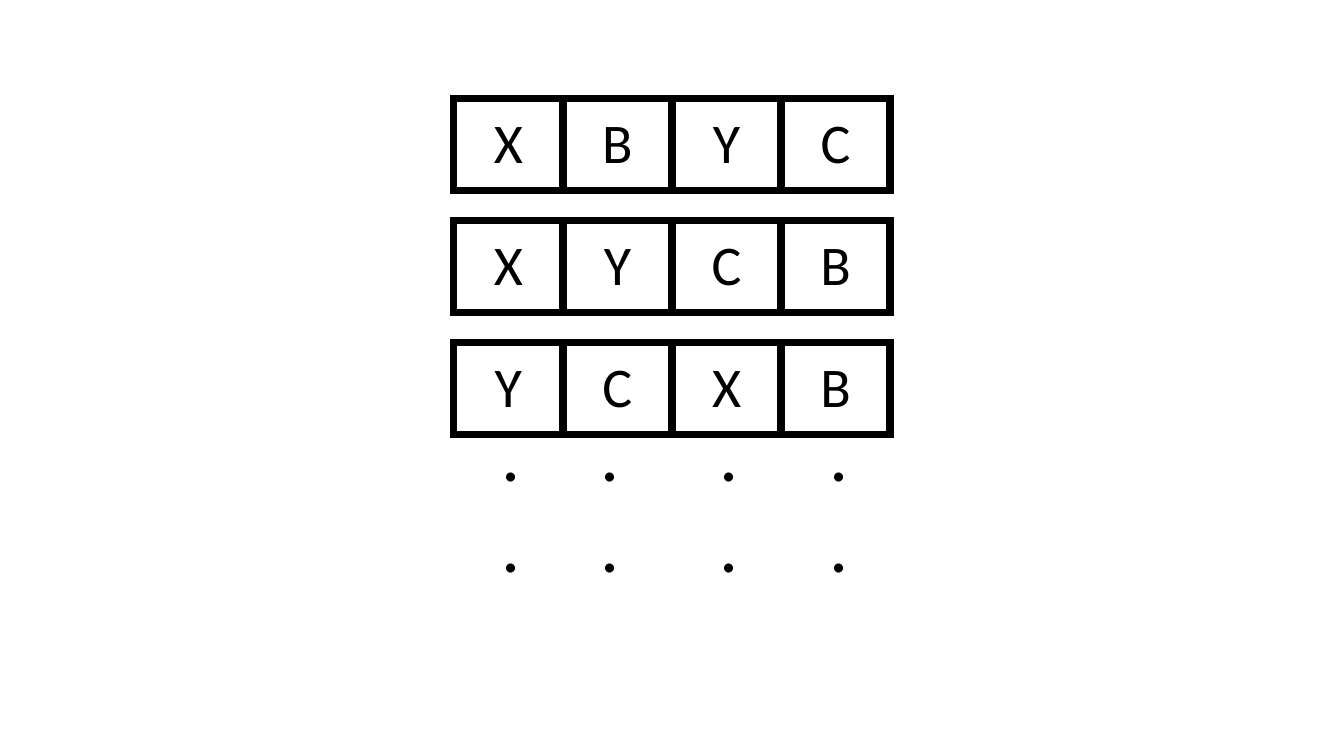
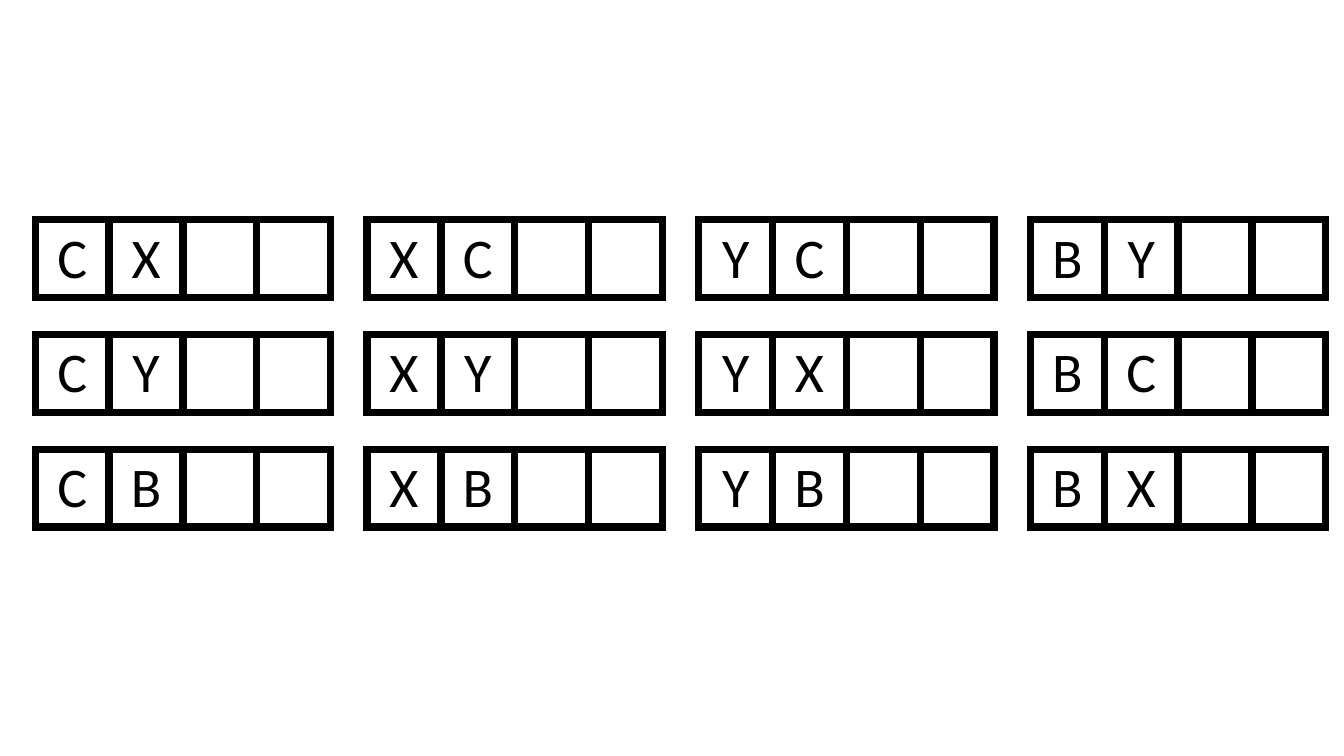
from dataclasses import dataclass

from lxml.etree import SubElement
from pptx import Presentation
from pptx.dml.color import RGBColor
from pptx.enum.text import MSO_ANCHOR as Anchor, PP_ALIGN as Align
from pptx.oxml import parse_xml
from pptx.oxml.ns import nsdecls, qn
from pptx.util import Inches, Pt


@dataclass(frozen=True)
class Theme:
    ink: str = "000000"
    font: str = "Calibri"
    letter_size: int = 40
    dots_size: int = 54
    border_width: int = 6


THEME = Theme()
SLOTS = 4


def style_paragraph(paragraph, size, alignment):
    paragraph.alignment = alignment
    for run in paragraph.runs:
        run.font.name = THEME.font
        run.font.size = Pt(size)
        run.font.color.rgb = RGBColor.from_string(THEME.ink)


def set_borders(cell):
    properties = cell._tc.get_or_add_tcPr()
    for index, side in enumerate("LRTB"):
        line = parse_xml(f'<a:ln{side} {nsdecls("a")} w="{Pt(THEME.border_width)}"/>')
        fill = SubElement(line, qn("a:solidFill"))
        SubElement(fill, qn("a:srgbClr"), val=THEME.ink)
        properties.insert(index, line)


def add_slots(slide, letters, left, top, width, height):
    table = slide.shapes.add_table(
        1, SLOTS, Inches(left), Inches(top), Inches(width), Inches(height)
    ).table
    table.first_row = False
    table.horz_banding = False
    for cell, letter in zip(table.iter_cells(), letters.ljust(SLOTS)):
        cell.fill.background()
        set_borders(cell)
        cell.vertical_anchor = Anchor.MIDDLE
        if letter.strip():
            cell.text_frame.text = letter
            style_paragraph(cell.text_frame.paragraphs[0], THEME.letter_size, Align.CENTER)


def add_dots(slide, left, top, width, height):
    box = slide.shapes.add_textbox(Inches(left), Inches(top), Inches(width), Inches(height))
    frame = box.text_frame
    frame.word_wrap = True
    frame.margin_left = frame.margin_right = frame.margin_top = frame.margin_bottom = 0
    frame.text = ". ."
    style_paragraph(frame.paragraphs[0], THEME.dots_size, Align.LEFT)


def build_arrangements(slide, left, top):
    for row, letters in enumerate(("XBYC", "XYCB", "YCXB")):
        add_slots(slide, letters, left, top + row * 1.21, 4.33, 0.91)
    for offset in (0.47, 1.46, 2.64, 3.73):
        add_dots(slide, left + offset, top + 3.05, 0.52, 1.82)


def build_beginnings(slide, left, top):
    columns = (
        ("CX", "CY", "CB"),
        ("XC", "XY", "XB"),
        ("YC", "YX", "YB"),
        ("BY", "BC", "BX"),
    )
    for column, beginnings in enumerate(columns):
        for row, letters in enumerate(beginnings):
            add_slots(slide, letters, left + column * 3.29, top + row * 1.14, 2.93, 0.77)


def main():
    presentation = Presentation()
    presentation.slide_width = Inches(13.33)
    presentation.slide_height = Inches(7.5)
    blank = presentation.slide_layouts[6]
    build_arrangements(presentation.slides.add_slide(blank), 4.5, 0.98)
    build_beginnings(presentation.slides.add_slide(blank), 0.35, 2.18)
    presentation.save("out.pptx")


if __name__ == "__main__":
    main()
